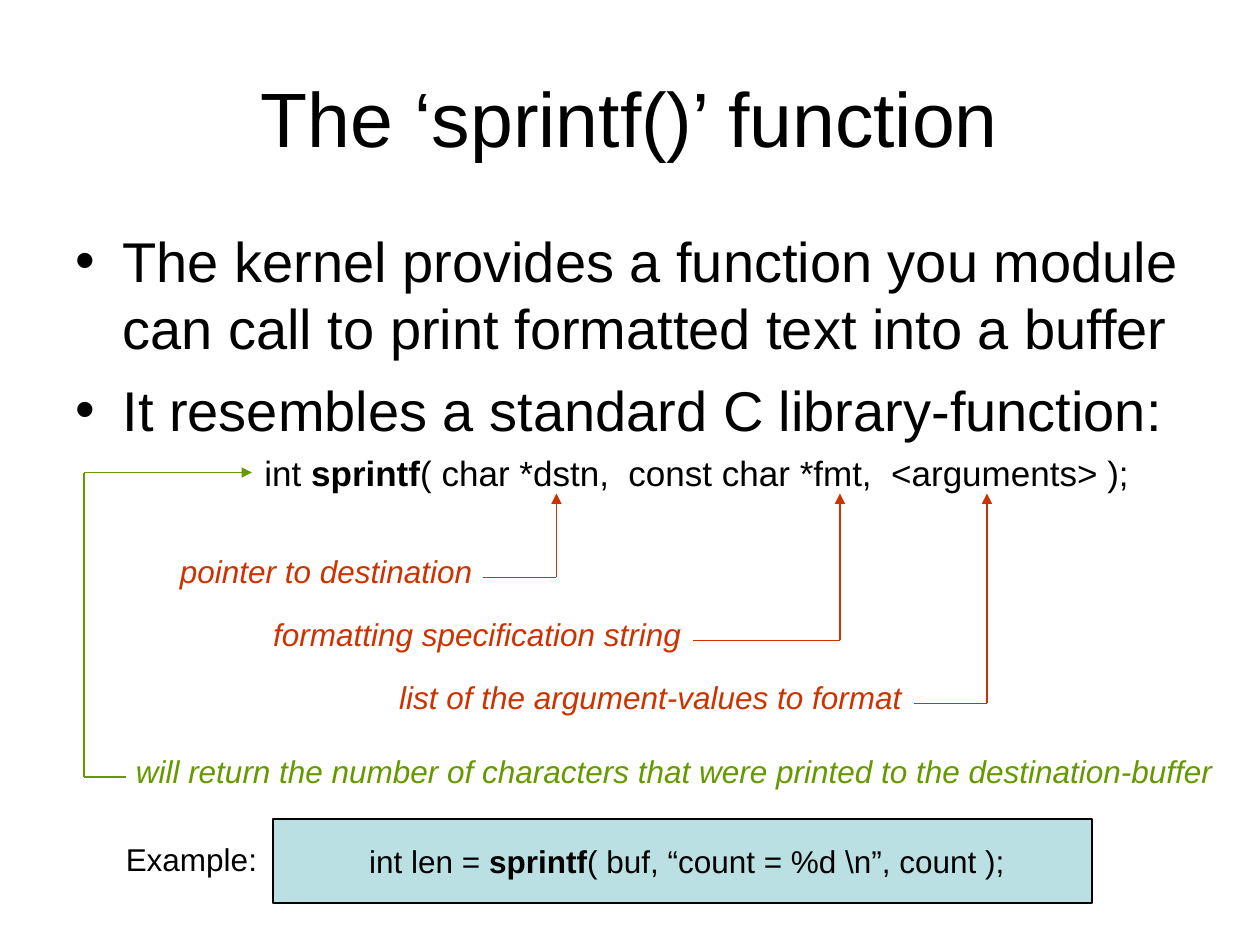
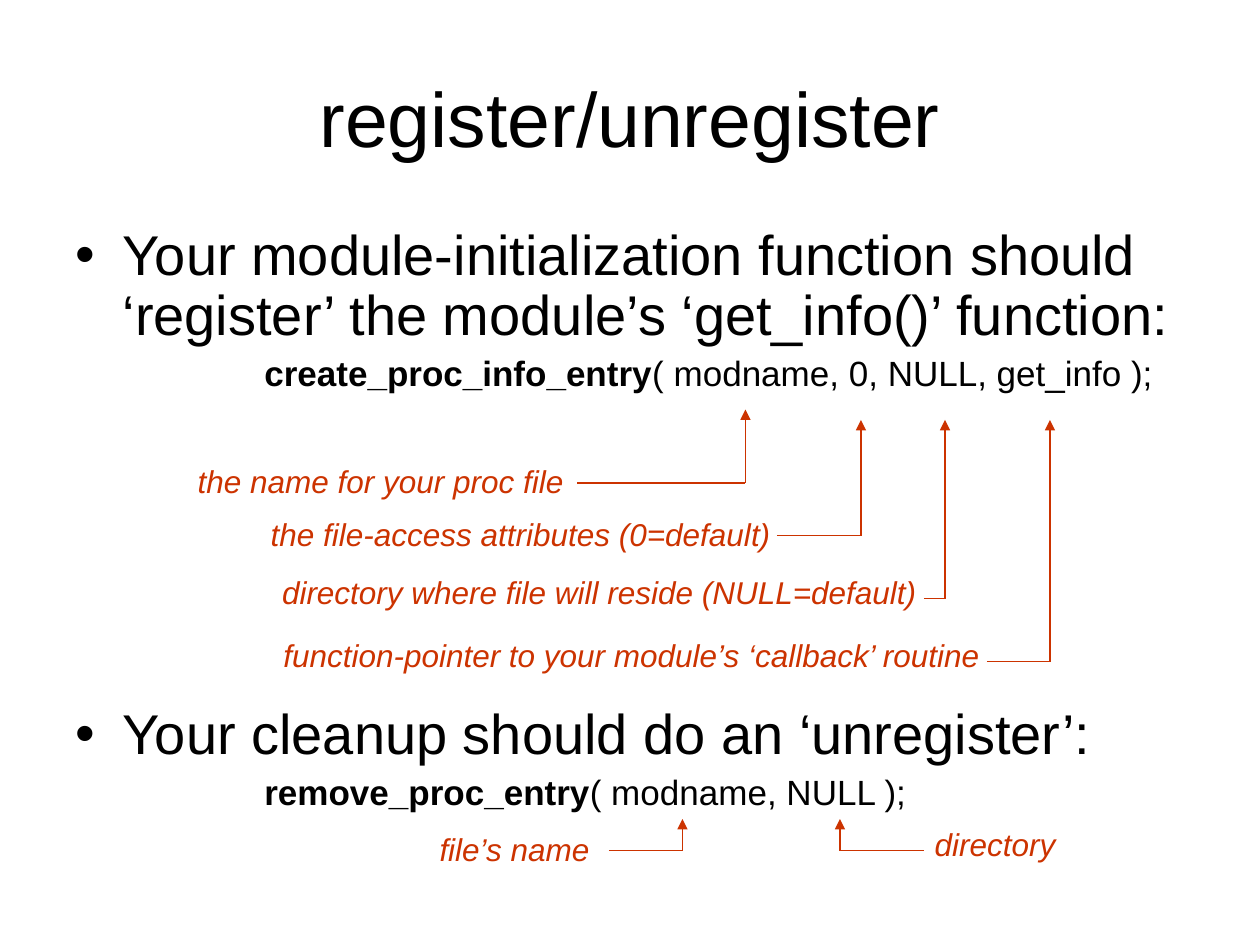
from itertools import pairwise

from lxml import etree
from pptx import Presentation, util as u
from pptx.dml.color import RGBColor
from pptx.enum import shapes, text
from pptx.oxml import ns

COLORS = {"ink": "000000", "note": "CC3300", "result": "669900", "panel": "BBE0E3"}
FONT = "Arial"
CELL = u.Inches(1) // 12
BULLET_INDENT = u.Inches(0.375)
CODE_INDENT = u.Inches(1.5)
NOTE_HEIGHT = 0.4


def color(name):
    return RGBColor.from_string(COLORS[name])


def style(span, size, tint="ink", bold=False, italic=False):
    font = span.font
    font.name, font.size, font.bold, font.italic = FONT, u.Pt(size), bold, italic
    font.color.rgb = color(tint)


def add_spans(para, parts, size):
    """Add the parts in turn, with every second one in bold."""
    for index, part in enumerate(parts):
        if part:
            span = para.add_run()
            span.text = part
            style(span, size, bold=index % 2 == 1)


def add_box(page, left, top, width, height, wrap=True):
    box = page.shapes.add_textbox(*map(u.Inches, (left, top, width, height)))
    box.text_frame.word_wrap = wrap
    return box


def add_title(page, wording):
    frame = add_box(page, 0.5, 0.3, 9, 1.25).text_frame
    frame.vertical_anchor = text.MSO_ANCHOR.MIDDLE
    frame.text = wording
    para = frame.paragraphs[0]
    para.alignment = text.PP_ALIGN.CENTER
    style(para.runs[0], 44)


def add_body(page, items, spacing=1.0):
    """Write (kind, parts, space before) items as bullets and code lines."""
    frame = add_box(page, 0.5, 1.75, 9, 4.95).text_frame
    for index, (kind, parts, gap) in enumerate(items):
        para = frame.add_paragraph() if index else frame.paragraphs[0]
        para.line_spacing = spacing
        para.space_before = u.Pt(gap)
        props = para._p.get_or_add_pPr()
        if kind == "bullet":
            props.set("marL", str(BULLET_INDENT))
            props.set("indent", str(-BULLET_INDENT))
            etree.SubElement(props, ns.qn("a:buFont")).set("typeface", FONT)
            etree.SubElement(props, ns.qn("a:buChar")).set("char", "•")
        else:
            props.set("marL", str(CODE_INDENT))
            props.set("indent", "0")
        add_spans(para, parts, 32 if kind == "bullet" else 20)


def add_note(page, wording, left, top, width, tint="note", italic=True):
    frame = add_box(page, left, top, width, NOTE_HEIGHT, wrap=False).text_frame
    frame.text = wording
    style(frame.paragraphs[0].runs[0], 18, tint, italic=italic)


def add_trace(page, points, tint="note"):
    """Join grid points by straight lines, with an arrowhead at the last."""
    for start, end in pairwise(points):
        line = page.shapes.add_connector(
            shapes.MSO_CONNECTOR.STRAIGHT, *(round(n * CELL) for n in start + end))
        line.line.color.rgb = color(tint)
        line.line.width = u.Pt(0.75)
        etree.SubElement(line._element.spPr, ns.qn("a:effectLst"))
    head = etree.SubElement(line.line._get_or_add_ln(), ns.qn("a:tailEnd"))
    head.set("type", "triangle")


def add_pointer(page, column, row, target_column, target_row):
    """Run along a row from a note, then up to the argument it explains."""
    add_trace(page, [(column, row), (target_column, row), (target_column, target_row)])


def add_example(page, parts):
    box = page.shapes.add_shape(
        shapes.MSO_SHAPE.RECTANGLE, 26 * CELL, 78 * CELL, 78 * CELL, 8 * CELL)
    box.shadow.inherit = False
    box.fill.solid()
    box.fill.fore_color.rgb = color("panel")
    box.line.color.rgb = color("ink")
    box.line.width = u.Pt(0.75)
    frame = box.text_frame
    frame.word_wrap = False
    frame.margin_left = u.Inches(0.17)
    frame.vertical_anchor = text.MSO_ANCHOR.MIDDLE
    para = frame.paragraphs[0]
    para.alignment = text.PP_ALIGN.CENTER
    add_spans(para, parts, 18)
    add_note(page, "Example:", 0.9, 6.62, 1.3, "ink", italic=False)


def build_sprintf(page):
    add_title(page, "The ‘sprintf()’ function")
    add_body(page, [
        ("bullet", ["The kernel provides a function you module can call "
                    "to print formatted text into a buffer"], 0),
        ("bullet", ["It resembles a standard C library-function:"], 8),
        ("code", ["int ", "sprintf",
                  "( char *dstn,  const char *fmt,  <arguments> );"], 5),
    ])
    add_note(page, "pointer to destination", 1.33, 4.33, 2.6)
    add_note(page, "formatting specification string", 2.07, 4.83, 3.55)
    add_note(page, "list of the argument-values to format", 3.07, 5.33, 4.3)
    for column, row, target in [(46, 55, 53), (66, 61, 80), (87, 67, 94)]:
        add_pointer(page, column, row, target, 47)
    add_note(page, "will return the number of characters that were printed "
             "to the destination-buffer", 0.98, 5.92, 8.9, "result")
    add_trace(page, [(12, 74), (8, 74), (8, 45), (24, 45)], "result")
    add_example(page, ["int len = ", "sprintf", "( buf, “count = %d \\n”, count );"])


def build_register(page):
    add_title(page, "register/unregister")
    add_body(page, [
        ("bullet", ["Your module-initialization function should ‘register’ "
                    "the module’s ‘get_info()’ function:"], 0),
        ("code", ["", "create_proc_info_entry", "( modname, 0, NULL, get_info );"], 5),
        ("bullet", ["Your cleanup should do an ‘unregister’:"], 178),
        ("code", ["", "remove_proc_entry", "( modname, NULL );"], 5),
    ], spacing=0.9)
    add_note(page, "the name for your proc file", 1.47, 3.62, 3.3)
    add_note(page, "the file-access attributes (0=default)", 2.05, 4.04, 4.35)
    add_note(page, "directory where file will reside (NULL=default)", 2.14, 4.5, 5.4)
    add_note(page, "function-pointer to your module’s ‘callback’ routine", 2.15, 5, 5.85)
    add_note(page, "file’s name", 3.39, 6.54, 1.5)
    add_note(page, "directory", 7.32, 6.5, 1.25)
    for pointer in [(55, 46, 71, 39), (74, 51, 82, 40), (88, 57, 90, 40),
                    (94, 63, 100, 40), (58, 81, 65, 78), (88, 81, 80, 78)]:
        add_pointer(page, *pointer)


def main():
    deck = Presentation()
    deck.slide_width, deck.slide_height = 120 * CELL, 90 * CELL
    for build in (build_sprintf, build_register):
        build(deck.slides.add_slide(deck.slide_layouts[6]))
    deck.save("out.pptx")


if __name__ == "__main__":
    main()
